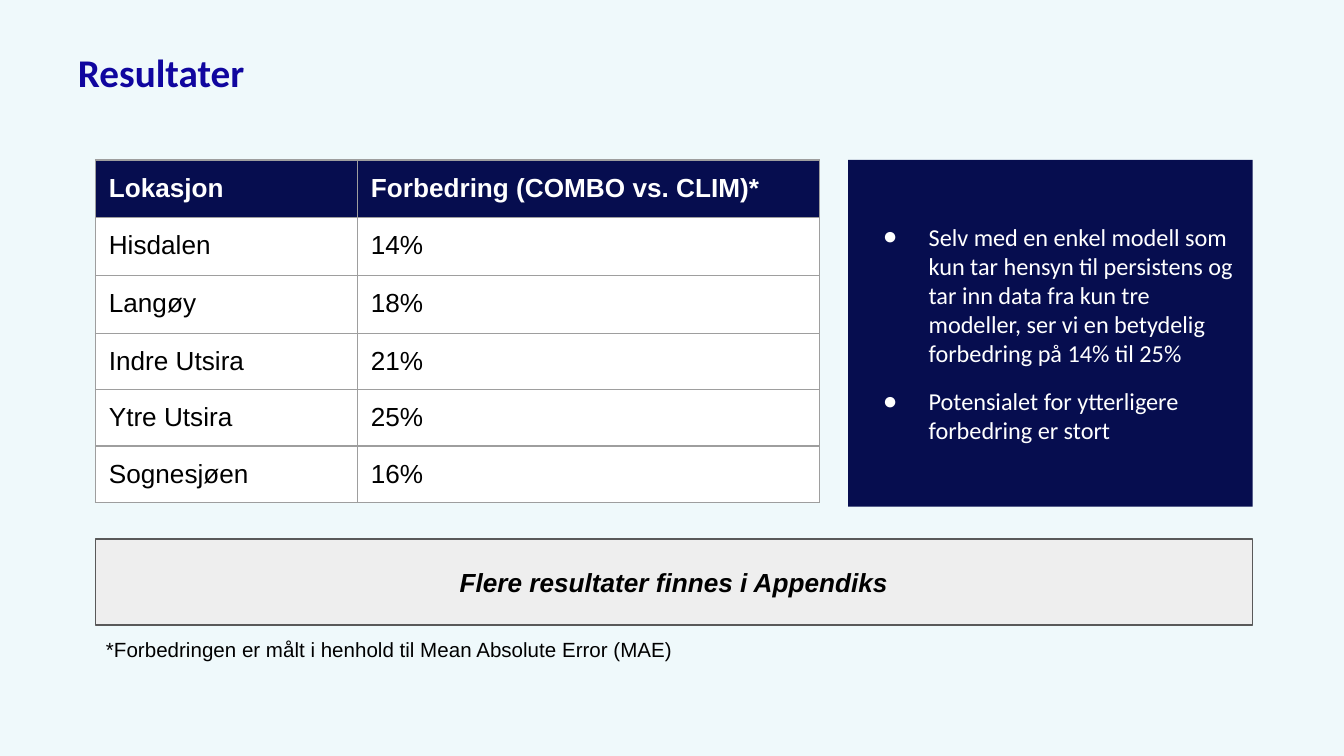
"""Build the results slide with its table, findings panel and notes."""
from lxml.etree import SubElement
from pptx import Presentation
from pptx.dml.color import RGBColor
from pptx.enum.shapes import MSO_SHAPE
from pptx.enum.text import MSO_ANCHOR, MSO_AUTO_SIZE, PP_ALIGN
from pptx.oxml.ns import qn
from pptx.util import Inches, Pt

TITLE = "Resultater"
ROWS = [
    ("Lokasjon", "Forbedring (COMBO vs. CLIM)*"),
    ("Hisdalen", "14%"),
    ("Langøy", "18%"),
    ("Indre Utsira", "21%"),
    ("Ytre Utsira", "25%"),
    ("Sognesjøen", "16%"),
]
FINDINGS = [
    "Selv med en enkel modell som kun tar hensyn til persistens og tar inn "
    "data fra kun tre modeller, ser vi en betydelig forbedring på 14% til 25%",
    "Potensialet for ytterligere forbedring er stort",
]
BANNER = "Flere resultater finnes i Appendiks"
FOOTNOTE = "*Forbedringen er målt i henhold til Mean Absolute Error (MAE)"

PALE = RGBColor(0xEF, 0xF9, 0xFB)
BLUE = RGBColor(0x10, 0x06, 0x9F)
NAVY = RGBColor(0x06, 0x0D, 0x4F)
GREY = RGBColor(0xEE, 0xEE, 0xEE)
RULE = RGBColor(0x9E, 0x9E, 0x9E)
EDGE = RGBColor(0x59, 0x59, 0x59)
WHITE = RGBColor(0xFF, 0xFF, 0xFF)
BLACK = RGBColor(0, 0, 0)

LEFT, TOP, WIDTH = 0.71, 1.19, 8.61
COLS = (1.95, 3.44)
ROW_HEIGHTS = (0.43,) * 3 + (0.42,) * 3
PANEL_W = 3.01


def place(sp, *box):
    sp.left, sp.top, sp.width, sp.height = map(Inches, box)


def frame(tf, anchor, dx, dy):
    tf.word_wrap = True
    tf.auto_size = MSO_AUTO_SIZE.NONE
    tf.vertical_anchor = anchor
    tf.margin_left = tf.margin_right = Inches(dx)
    tf.margin_top = tf.margin_bottom = Inches(dy)


def write(p, text, name, size, color, bold=False, italic=False):
    p.text = text
    f = p.runs[0].font
    f.name, f.size, f.bold, f.italic = name, Pt(size), bold, italic
    f.color.rgb = color


def add_bullet(p):
    pPr = p._p.get_or_add_pPr()
    pPr.set("marL", str(Inches(0.5)))
    pPr.set("indent", str(Inches(-0.34)))
    clr = SubElement(pPr, qn("a:buClr"))
    SubElement(clr, qn("a:srgbClr"), val=str(WHITE))
    SubElement(pPr, qn("a:buChar"), char="●")


def add_borders(cell):
    tcPr = cell._tc.get_or_add_tcPr()
    for side in "LRTB":
        ln = SubElement(tcPr, qn(f"a:ln{side}"), w=str(Pt(0.75)))
        fill = SubElement(ln, qn("a:solidFill"))
        SubElement(fill, qn("a:srgbClr"), val=str(RULE))


def add_results(s):
    table = s.shapes.add_table(
        len(ROWS), len(COLS), Inches(LEFT), Inches(TOP),
        Inches(sum(COLS)), Inches(sum(ROW_HEIGHTS))).table
    for col, width in zip(table.columns, COLS):
        col.width = Inches(width)
    for i, (values, height) in enumerate(zip(ROWS, ROW_HEIGHTS)):
        table.rows[i].height = Inches(height)
        for j, value in enumerate(values):
            cell = table.cell(i, j)
            cell.margin_left = cell.margin_right = Inches(0.1)
            cell.margin_top = cell.margin_bottom = Inches(0.1)
            add_borders(cell)
            cell.fill.solid()
            cell.fill.fore_color.rgb = WHITE if i else NAVY
            write(cell.text_frame.paragraphs[0], value, "Arial", 14,
                  BLACK if i else WHITE, bold=i == 0)


def add_findings(sp):
    place(sp, LEFT + WIDTH - PANEL_W, TOP, PANEL_W, 2.58)
    sp.fill.solid()
    sp.fill.fore_color.rgb = NAVY
    tf = sp.text_frame
    frame(tf, MSO_ANCHOR.MIDDLE, 0.1, 0.05)
    for i, text in enumerate(FINDINGS):
        p = tf.add_paragraph() if i else tf.paragraphs[0]
        add_bullet(p)
        p.space_before = Pt(10 if i else 0)
        write(p, text, "Calibri", 13, WHITE)


def main():
    prs = Presentation()
    prs.slide_width = Inches(10)
    prs.slide_height = prs.slide_width * 9 // 16
    s = prs.slides.add_slide(prs.slide_layouts[1])
    s.background.fill.solid()
    s.background.fill.fore_color.rgb = PALE

    title = s.shapes.title
    place(title, 0.51, 0.36, 7.93, 0.49)
    frame(title.text_frame, MSO_ANCHOR.TOP, 0.07, 0.04)
    p = title.text_frame.paragraphs[0]
    write(p, TITLE, "Calibri", 21, BLUE, bold=True)
    p.alignment, p.line_spacing = PP_ALIGN.LEFT, 0.9

    add_results(s)
    add_findings(s.placeholders[1])

    banner = s.shapes.add_shape(
        MSO_SHAPE.RECTANGLE, *map(Inches, (LEFT, 4.01, WIDTH, 0.64)))
    banner.shadow.inherit = False
    banner.fill.solid()
    banner.fill.fore_color.rgb = GREY
    banner.line.color.rgb = EDGE
    banner.line.width = Pt(0.75)
    frame(banner.text_frame, MSO_ANCHOR.MIDDLE, 0.1, 0.1)
    p = banner.text_frame.paragraphs[0]
    write(p, BANNER, "Arial", 14, BLACK, bold=True, italic=True)
    p.alignment = PP_ALIGN.CENTER

    note = s.shapes.add_textbox(*map(Inches, (0.69, 4.64, WIDTH, 0.43)))
    frame(note.text_frame, MSO_ANCHOR.TOP, 0.1, 0.1)
    write(note.text_frame.paragraphs[0], FOOTNOTE, "Arial", 11, BLACK)

    prs.save("out.pptx")


if __name__ == "__main__":
    main()
